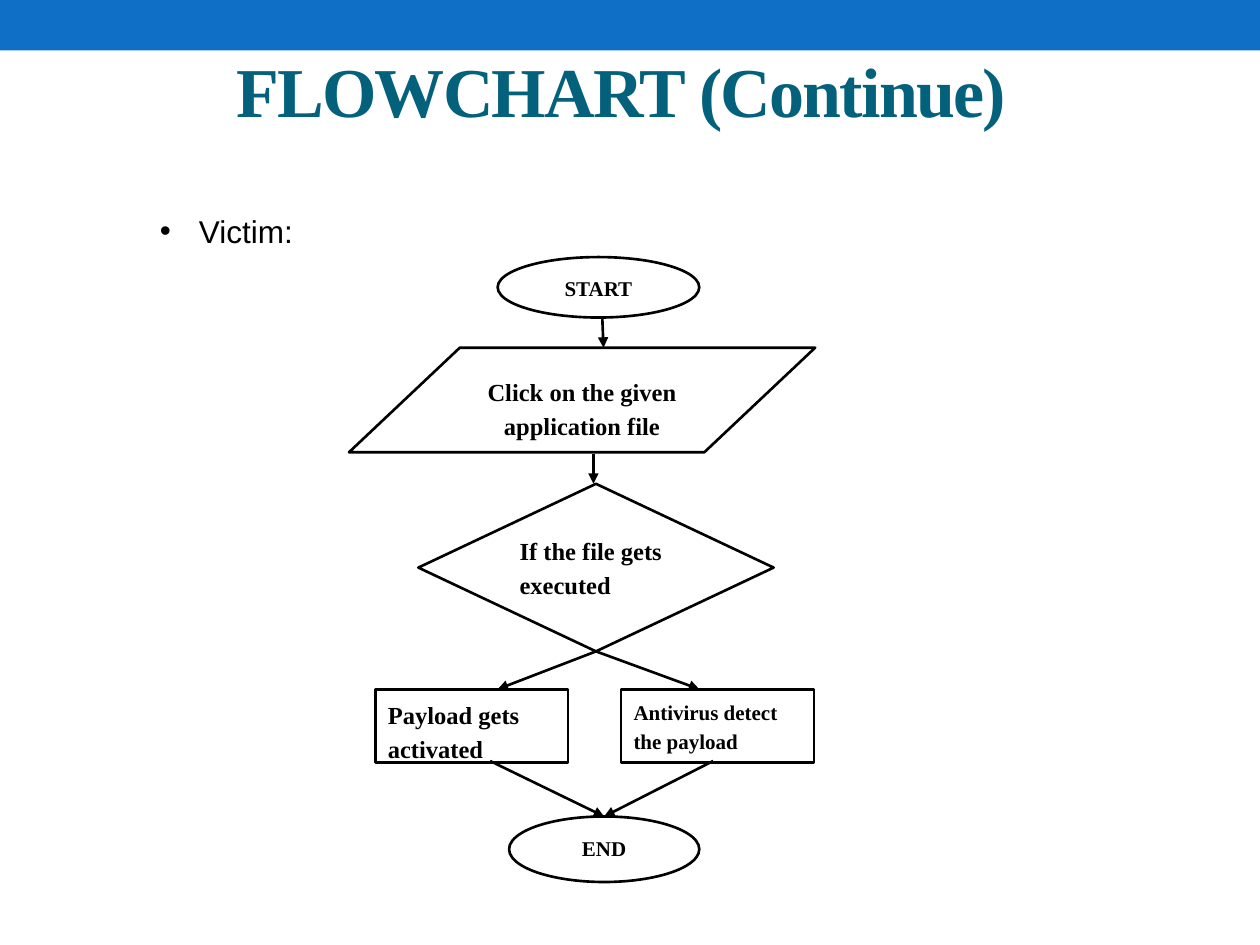
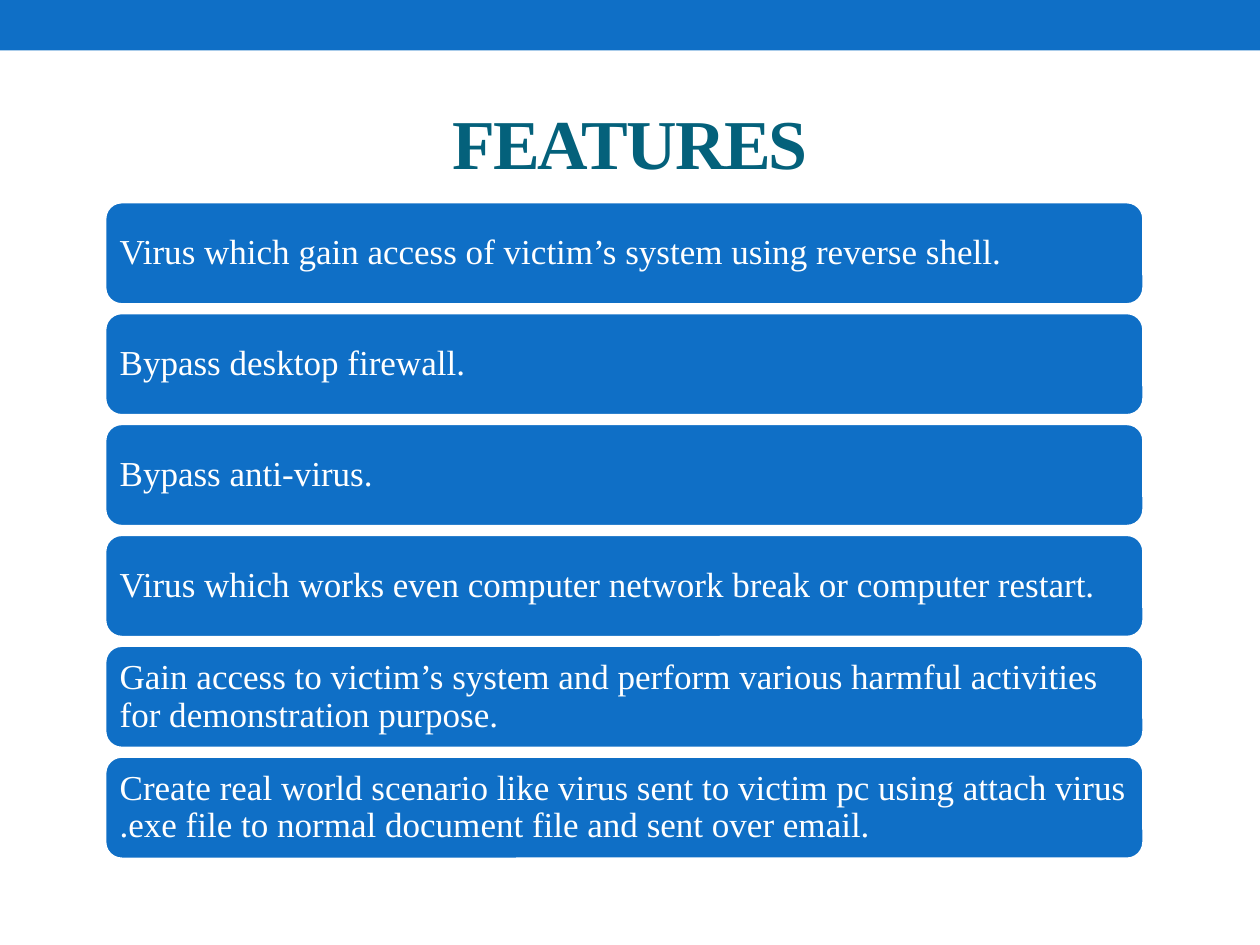
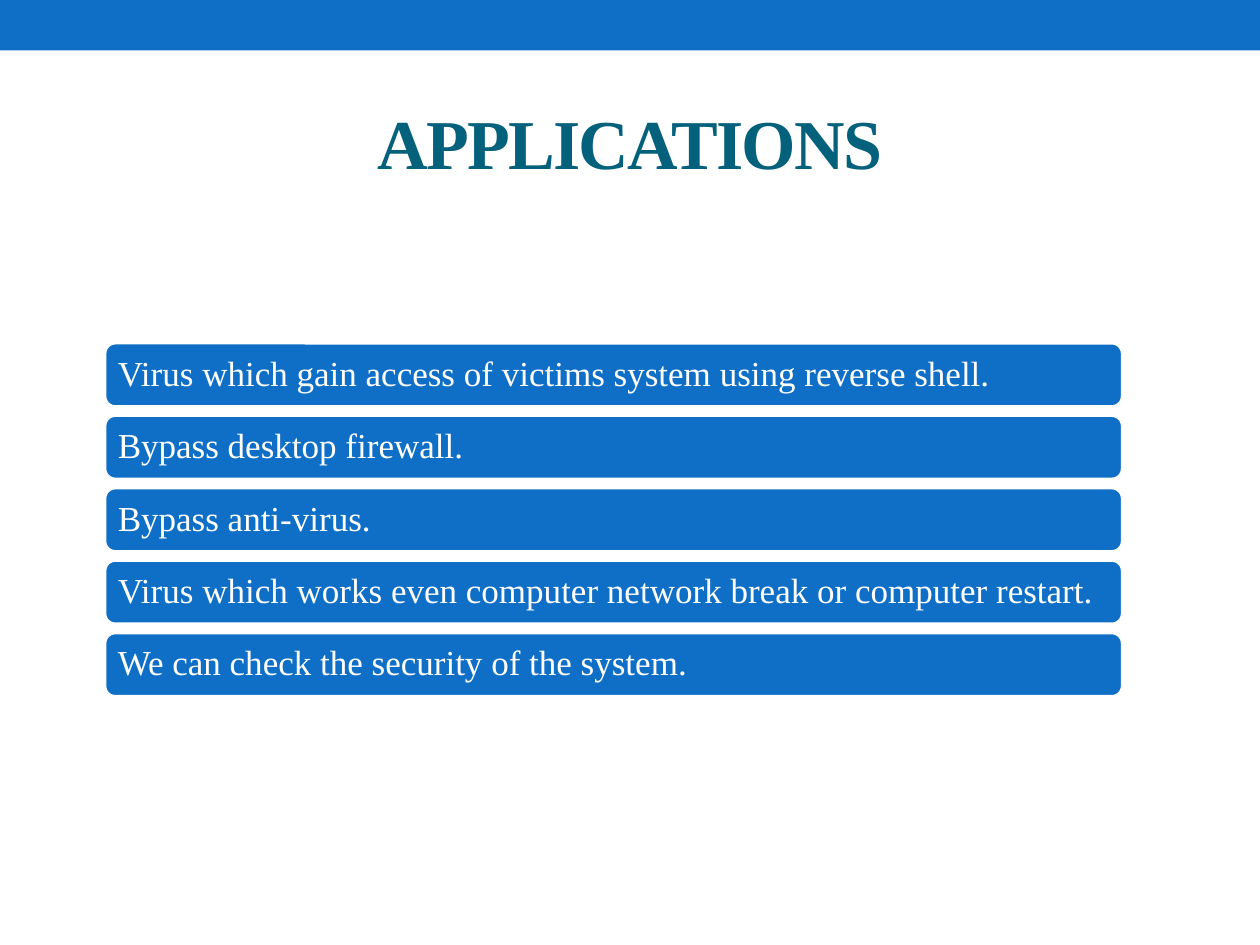
from pptx import Presentation, util as u
from pptx.dml.color import RGBColor
from pptx.enum import shapes, text
from pptx.oxml.ns import qn
from lxml import etree

COLORS = {"blue": "0F6FC6", "teal": "04617B", "black": "000000", "white": "FFFFFF"}
SERIF, SANS = "Times New Roman", "Arial"
KIND, ALIGN, ANCHOR = shapes.MSO_SHAPE, text.PP_ALIGN, text.MSO_ANCHOR

# Flowchart steps: name -> kind, (left, top, width, height), wording, size, alignment, space after
STEPS = {
    "start": (KIND.OVAL, (3.95, 2.04, 1.6, 0.48), "START", 12, ALIGN.CENTER, 10),
    "click": (KIND.PARALLELOGRAM, (2.77, 2.76, 3.7, 0.83),
              "Click on the given application file", 14, ALIGN.CENTER, 6),
    "executed": (KIND.DIAMOND, (3.32, 3.84, 2.82, 1.33),
                 "If the file gets executed", 14, ALIGN.LEFT, 6),
    "payload": (KIND.RECTANGLE, (2.98, 5.47, 1.53, 0.58),
                "Payload gets activated", 14, ALIGN.LEFT, 6),
    "antivirus": (KIND.RECTANGLE, (4.93, 5.47, 1.53, 0.58),
                  "Antivirus detect the payload", 12, ALIGN.LEFT, 6),
    "end": (KIND.OVAL, (4.04, 6.48, 1.51, 0.52), "END", 12, ALIGN.CENTER, 10),
}
CLICK_SLANT = 1.06

# Arrows: a point, or a step name (leaves at its bottom, arrives at its top)
ARROWS = [
    ((4.78, 2.52), (4.79, 2.76)),
    ((4.71, 3.6), (4.71, 3.84)),
    ("executed", (3.95, 5.47)),
    ("executed", (5.55, 5.47)),
    ((3.89, 6.04), "end"),
    ((5.66, 6.04), "end"),
]

# Card slides: title, cards, and the geometry of the stack
CARD_SLIDES = [
    {"title": "FEATURES", "top": 1.6, "width": 8.25, "height": 0.82, "pitch": 0.88,
     "cards": [
         "Virus which gain access of victim’s system using reverse shell.",
         "Bypass desktop firewall.",
         "Bypass anti-virus.",
         "Virus which works even computer network break or computer restart.",
         "Gain access to victim’s system and perform various harmful activities "
         "for demonstration purpose.",
         "Create real world scenario like virus sent to victim pc using attach virus "
         ".exe file to normal document file and sent over email.",
     ]},
    {"title": "APPLICATIONS", "top": 2.72, "width": 8.08, "height": 0.51, "pitch": 0.575,
     "cards": [
         "Virus which gain access of victims system using reverse shell.",
         "Bypass desktop firewall.",
         "Bypass anti-virus.",
         "Virus which works even computer network break or computer restart.",
         "We can check the security of the system.",
     ]},
]
CARD_LEFT, CARD_INSET = 0.83, 0.08


def inches(values):
    return [u.Inches(value) for value in values]


def set_all(target, values):
    for name, value in values.items():
        setattr(target, name, value)


def write(frame, wording, size, color, font=SERIF, bold=False, **layout):
    paragraph = frame.paragraphs[0]
    run = paragraph.add_run()
    run.text = wording
    set_all(paragraph, layout)
    set_all(run.font, {"name": font, "size": u.Pt(size), "bold": bold})
    run.font.color.rgb = RGBColor.from_string(COLORS[color])
    return run


def add_box(slide, kind, at, fill, line=None, weight=1.5):
    box = slide.shapes.add_shape(kind, *inches(at))
    box.shadow.inherit = False
    box.fill.solid()
    box.fill.fore_color.rgb = RGBColor.from_string(COLORS[fill])
    if line:
        box.line.color.rgb = RGBColor.from_string(COLORS[line])
        box.line.width = u.Pt(weight)
    else:
        box.line.fill.background()
    return box


def add_titled_slide(deck, wording, left=0.5, top=0.58):
    slide = deck.slides.add_slide(deck.slide_layouts[5])
    title = slide.shapes.title
    set_all(title, dict(zip(("left", "top", "width", "height"), inches((left, top, 9, 1.08)))))
    title.text_frame.vertical_anchor = ANCHOR.MIDDLE
    run = write(title.text_frame, wording, 40, "teal", bold=True, alignment=ALIGN.CENTER)
    run.font._element.set("spc", "-100")
    return slide


def add_arrow(slide, steps, start, end):
    points = [(0, 0) if isinstance(point, str) else point for point in (start, end)]
    arrow = slide.shapes.add_connector(
        shapes.MSO_CONNECTOR.STRAIGHT, *inches(points[0] + points[1]))
    if isinstance(start, str):
        arrow.begin_connect(steps[start], 2)
    if isinstance(end, str):
        arrow.end_connect(steps[end], 0)
    arrow.line.color.rgb = RGBColor.from_string(COLORS["black"])
    arrow.line.width = u.Pt(1.5)
    etree.SubElement(arrow.line._get_or_add_ln(), qn("a:tailEnd"), type="triangle")
    etree.SubElement(arrow._element.spPr, qn("a:effectLst"))


def add_flowchart(deck):
    slide = add_titled_slide(deck, "FLOWCHART (Continue)", 0.43, 0.17)

    # Bulleted heading
    heading = slide.shapes.add_textbox(*inches((1.17, 1.63, 2.42, 0.71))).text_frame
    heading.word_wrap = True
    properties = heading.paragraphs[0]._p.get_or_add_pPr()
    indent = u.Inches(0.31)
    properties.set("marL", str(indent))
    properties.set("indent", str(-indent))
    etree.SubElement(properties, qn("a:buFont"), typeface=SANS)
    etree.SubElement(properties, qn("a:buChar"), char="•")
    write(heading, "Victim:", 18, "black", font=SANS)

    # Steps and arrows
    steps = {}
    for name, (kind, at, wording, size, alignment, after) in STEPS.items():
        steps[name] = add_box(slide, kind, at, "white", "black")
        frame = steps[name].text_frame
        set_all(frame, {"word_wrap": True, "vertical_anchor": ANCHOR.TOP})
        write(frame, wording, size, "black", bold=True, alignment=alignment,
              line_spacing=1.15, space_after=u.Pt(after))
    steps["click"].adjustments[0] = CLICK_SLANT
    for start, end in ARROWS:
        add_arrow(slide, steps, start, end)
    return slide


def add_cards(deck, content):
    slide = add_titled_slide(deck, content["title"])
    sides = ("margin_left", "margin_top", "margin_right", "margin_bottom")
    for row, wording in enumerate(content["cards"]):
        top = content["top"] + row * content["pitch"]
        card = add_box(slide, KIND.ROUNDED_RECTANGLE,
                       (CARD_LEFT, top, content["width"], content["height"]),
                       "blue", "white", 2.08)
        frame = card.text_frame
        set_all(frame, {"word_wrap": True, "vertical_anchor": ANCHOR.MIDDLE})
        set_all(frame, dict.fromkeys(sides, u.Inches(CARD_INSET)))
        write(frame, wording, 20, "white", alignment=ALIGN.LEFT, line_spacing=0.9)


def main():
    deck = Presentation()
    deck.slide_width, deck.slide_height = inches((10, 7.5))
    flowchart = add_flowchart(deck)
    for content in CARD_SLIDES:
        add_cards(deck, content)

    # Top band, moved to the layout that all slides share
    band = add_box(flowchart, KIND.RECTANGLE, (0, 0, 10, 0.4), "blue")
    flowchart.slide_layout.shapes.element.insert(2, band.element)
    deck.save("out.pptx")


if __name__ == "__main__":
    main()
